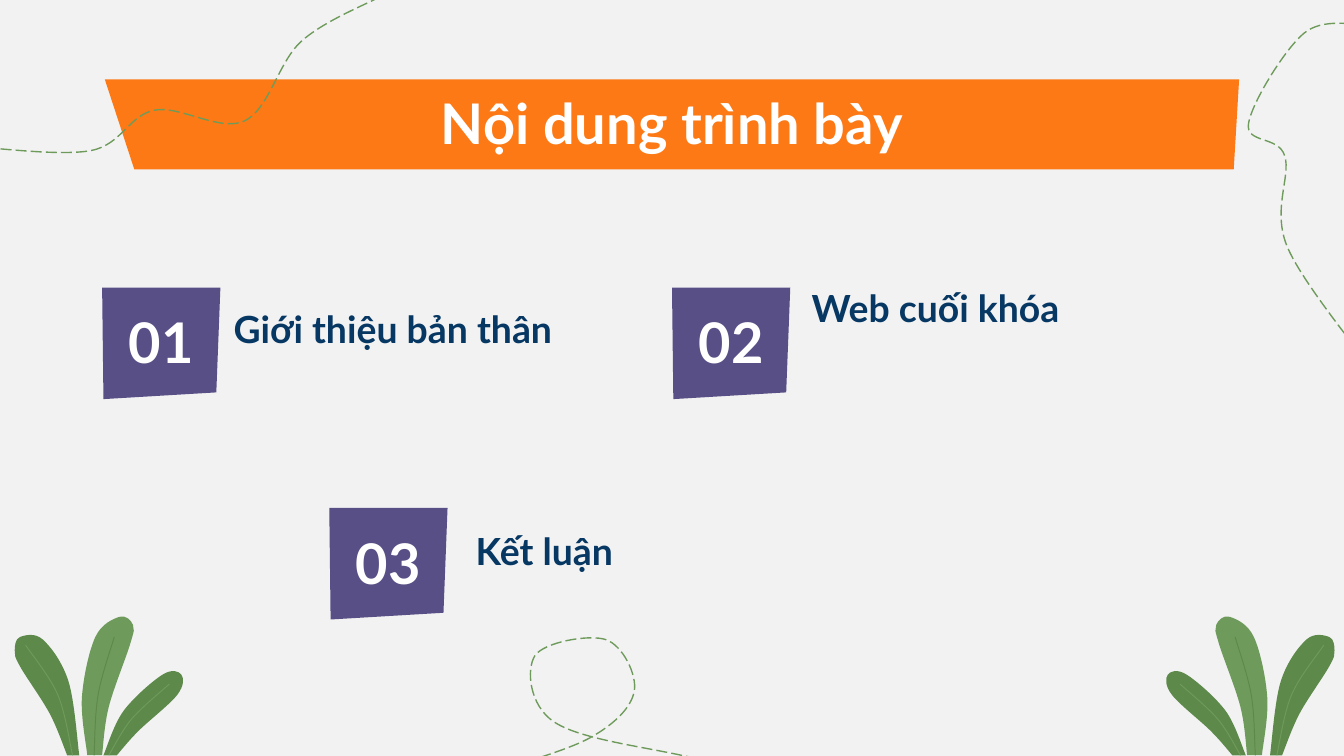
from pptx import Presentation
from pptx.dml.color import RGBColor
from pptx.enum import dml, text
from pptx.oxml.ns import qn
from pptx.util import Pt

BACKGROUND = RGBColor(0xF2, 0xF2, 0xF2)
ORANGE = RGBColor(0xFD, 0x79, 0x15)
PURPLE = RGBColor(0x57, 0x4F, 0x85)
NAVY = RGBColor(0x07, 0x37, 0x63)
WHITE = RGBColor(0xFF, 0xFF, 0xFF)
LIGHT_GREEN = RGBColor(0x6E, 0x9B, 0x5B)
DARK_GREEN = RGBColor(0x5D, 0x8A, 0x4A)
UNIT = 0.72  # points per drawing unit
MIRROR = 1004  # sum of a left plant x and its reflection

# Smooth curves run through these points.
VINE_RIGHT = [(1016, 18), (970, 25), (929, 92), (956, 116), (958, 184), (1027, 283)]
VINE_BOTTOM = [(359, 577), (439, 549), (472, 514), (451, 476), (398, 488),
               (412, 537), (507, 562), (619, 581)]
VINE_LEFT = [(-22, 109), (68, 112), (115, 82), (182, 90), (224, 31), (284, -3)]
LEAVES = [
    (LIGHT_GREEN, [(65, 562), (61, 519), (71, 474), (89, 459), (99, 465),
                   (97, 479), (81, 526), (76, 562)]),
    (DARK_GREEN, [(77, 562), (92, 529), (121, 502), (135, 502), (132, 517),
                  (103, 544), (87, 562)]),
    (DARK_GREEN, [(50, 562), (37, 531), (15, 496), (11, 484), (15, 474),
                  (32, 476), (51, 507), (59, 562)]),
]
VEINS = [
    (DARK_GREEN, [(70, 562), (73, 517), (85, 474)]),
    (LIGHT_GREEN, [(54, 562), (43, 517), (19, 480)]),
    (LIGHT_GREEN, [(81, 562), (98, 535), (126, 509)]),
]

prs = Presentation()
prs.slide_width, prs.slide_height = Pt(720), Pt(405)
slide = prs.slides.add_slide(prs.slide_layouts[5])
slide.background.fill.solid()
slide.background.fill.fore_color.rgb = BACKGROUND


def draw_outline(points, color, filled=True, curved=True, width=0.75, dash=None):
    """Draw a closed filled outline or an open line, smoothed if curved."""
    if curved:
        knots = [points[0], *points, points[-1]]
        points = points[:1]
        for before, start, end, after in zip(knots, knots[1:], knots[2:], knots[3:]):
            points = points + [
                [s + (e - b) / 6 for b, s, e in zip(before, start, end)],
                [e - (a - s) / 6 for s, e, a in zip(start, end, after)],
                end]
    first, *rest = [(Pt(x * UNIT), Pt(y * UNIT)) for x, y in points]
    builder = slide.shapes.build_freeform(*first)
    builder.add_line_segments(rest, close=filled)
    outline = builder.convert_to_shape()
    outline.shadow.inherit = False
    if filled:
        outline.fill.solid()
        outline.fill.fore_color.rgb = color
        outline.line.fill.background()
    else:
        outline.fill.background()
        outline.line.color.rgb = color
        outline.line.width = Pt(width)
        outline.line.dash_style = dash
    if curved:
        steps = list(outline._element.iter(qn("a:lnTo")))
        for bend, *others in zip(steps[::3], steps[1::3], steps[2::3]):
            bend.tag = qn("a:cubicBezTo")
            for step in others:
                bend.append(step[0])
                step.getparent().remove(step)
    return outline


def write(box, place, words, size, color, align, anchor):
    box.left, box.top, box.width, box.height = [Pt(v * UNIT) for v in place]
    frame = box.text_frame
    frame.text = words
    settings = {"word_wrap": True, "auto_size": text.MSO_AUTO_SIZE.NONE,
                "vertical_anchor": anchor}
    for side in ("left", "right", "top", "bottom"):
        settings["margin_" + side] = Pt(7.2)
    for key, value in settings.items():
        setattr(frame, key, value)
    paragraph = frame.paragraphs[0]
    paragraph.alignment = align
    font = paragraph.runs[0].font
    for key, value in {"name": "Lato", "size": Pt(size), "bold": True}.items():
        setattr(font, key, value)
    font.color.rgb = color


vine = {"color": LIGHT_GREEN, "filled": False, "dash": dml.MSO_LINE.LONG_DASH}
draw_outline([(78, 59), (100, 126), (918, 126), (922, 59)], ORANGE, curved=False)
draw_outline(VINE_RIGHT, **vine)

for mirrored in (False, True):
    plant = []
    for parts, filled in ((LEAVES, True), (VEINS, False)):
        for green, points in parts:
            if mirrored:
                points = [(MIRROR - x, y) for x, y in points]
            plant.append(draw_outline(points, green, filled, width=0.5))
    slide.shapes.add_group_shape(plant)

draw_outline(VINE_BOTTOM, **vine)

LEFT, CENTER = text.PP_ALIGN.LEFT, text.PP_ALIGN.CENTER
TOP, MIDDLE = text.MSO_ANCHOR.TOP, text.MSO_ANCHOR.MIDDLE

# Badge corner, topic, topic place
topics = [
    ((76, 214), "Giới thiệu bản thân", (164, 219, 335, 51)),
    ((500, 214), "Web cuối khóa", (594, 208, 332, 42)),
    ((245, 378), "Kết luận", (344, 384, 332, 51)),
]
for number, ((x, y), topic, place) in enumerate(topics, 1):
    draw_outline([(x, y), (x + 1, y + 83), (x + 85, y + 78), (x + 88, y)],
                 PURPLE, curved=False)
    write(slide.shapes.add_textbox(0, 0, 0, 0), place, topic, 20, NAVY, LEFT, MIDDLE)
    write(slide.shapes.add_textbox(0, 0, 0, 0), (x + 8, y + 5, 72, 74),
          f"{number:02}", 30, WHITE, CENTER, TOP)

heading = slide.shapes.title
write(heading, (78, 59, 844, 63), "Nội dung trình bày", 30, WHITE, CENTER, MIDDLE)
slide.shapes._spTree.append(heading._element)  # in front of the banner

draw_outline(VINE_LEFT, **vine)

prs.save("out.pptx")
